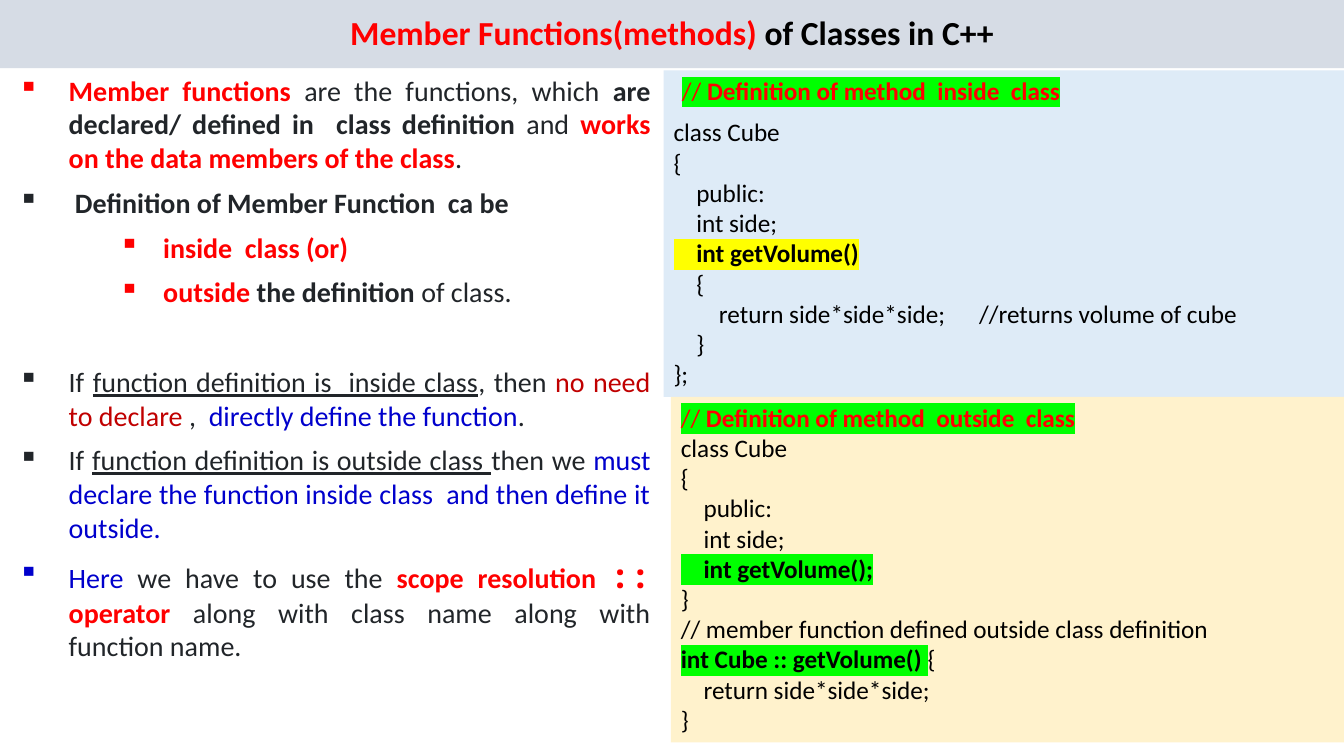
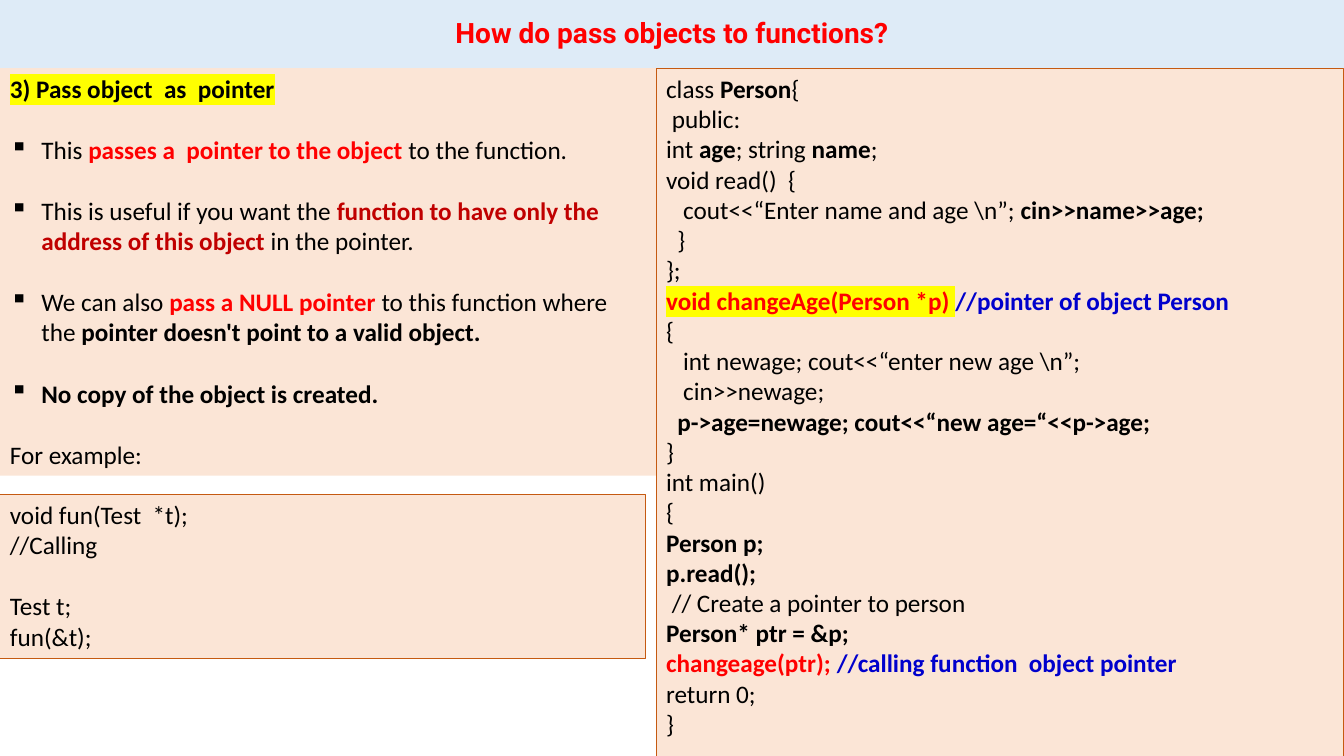
from dataclasses import dataclass
from functools import partial
from typing import Optional, Union

from lxml import etree
from pptx import Presentation
from pptx import util as u
from pptx.dml.color import RGBColor
from pptx.enum import shapes, text
from pptx.oxml.ns import qn

PX = 9525
WIDTH, HEIGHT = 1280, 720
TITLE_H = 65
LINE = 22
COLORS = {
    "black": "000000", "ink": "212529", "red": "FF0000", "dark_red": "C00000",
    "blue": "0000CC", "lime": "00FF00", "yellow": "FFFF00", "gray": "D6DCE5",
    "sky": "DEEBF7", "cream": "FFF2CC", "peach": "FBE5D6", "rust": "C55A11",
}
ALIGN = text.PP_ALIGN
ANCHOR = text.MSO_ANCHOR


@dataclass(frozen=True)
class Run:
    text: str
    color: Optional[str] = None
    bold: bool = False
    underline: bool = False
    mark: Optional[str] = None
    size: Optional[int] = None
    font: str = "Calibri"


Piece = Union[str, Run]


@dataclass(frozen=True)
class Para:
    runs: tuple[Piece, ...]
    align: ALIGN = ALIGN.LEFT
    left: int = 0
    hang: int = 0
    before: int = 0
    after: int = 0
    level: int = 0
    spacing: float = 1.0


@dataclass(frozen=True)
class Panel:
    x: int
    y: int
    w: int
    h: int
    paras: list[Para]
    fill: Optional[str] = None
    line: Optional[str] = None
    size: int = 18
    color: str = "black"
    anchor: ANCHOR = ANCHOR.TOP


bold = partial(Run, bold=True)
red = partial(Run, color="red", bold=True)
blue = partial(Run, color="blue")
under = partial(Run, underline=True)


def para(*runs: Piece, **layout) -> Para:
    return Para(runs, **layout)


point = partial(para, align=ALIGN.JUSTIFY, left=56, hang=48, after=8)
subpoint = partial(point, left=140, hang=36, level=2)
item = partial(para, left=30, hang=30, before=LINE)


def code(*lines: Union[Piece, tuple[Piece, ...]]) -> list[Para]:
    return [Para(ln if isinstance(ln, tuple) else (ln,)) for ln in lines]


def title(fill: str, *runs: Piece, size: int) -> Panel:
    line = para(*runs, align=ALIGN.CENTER, spacing=0.9)
    return Panel(0, 0, WIDTH, TITLE_H, [line], fill, size=size, anchor=ANCHOR.MIDDLE)


def rgb(name: str) -> RGBColor:
    return RGBColor.from_string(COLORS[name])


def add_run(p, piece: Piece, panel: Panel) -> None:
    run = Run(piece) if isinstance(piece, str) else piece
    r = p.add_run()
    r.text = run.text
    r.font.size = u.Pt(run.size or panel.size)
    r.font.bold = run.bold
    r.font.underline = run.underline
    r.font.color.rgb = rgb(run.color or panel.color)
    r.font.name = run.font
    if run.mark:
        highlight = etree.Element(qn("a:highlight"))
        etree.SubElement(highlight, qn("a:srgbClr"), val=COLORS[run.mark])
        r._r.get_or_add_rPr().find(qn("a:solidFill")).addnext(highlight)


def add_para(p, par: Para, panel: Panel) -> None:
    p.alignment = par.align
    p.level = par.level
    p.line_spacing = par.spacing
    p.space_before = u.Pt(par.before)
    p.space_after = u.Pt(par.after)
    pPr = p._p.get_or_add_pPr()
    pPr.set("marL", str(par.left * PX))
    pPr.set("indent", str(-par.hang * PX))
    if par.hang:
        etree.SubElement(pPr, qn("a:buChar"), char="▪")
    for piece in par.runs:
        add_run(p, piece, panel)


def add_panel(s, panel: Panel) -> None:
    box = [v * PX for v in (panel.x, panel.y, panel.w, panel.h)]
    if panel.fill:
        sp = s.shapes.add_shape(shapes.MSO_SHAPE.RECTANGLE, *box)
        sp.shadow.inherit = False
        sp.fill.solid()
        sp.fill.fore_color.rgb = rgb(panel.fill)
        if panel.line:
            sp.line.color.rgb = rgb(panel.line)
            sp.line.width = u.Pt(0.75)
        else:
            sp.line.fill.background()
    else:
        sp = s.shapes.add_textbox(*box)
    tf = sp.text_frame
    tf.word_wrap = True
    tf.vertical_anchor = panel.anchor
    for i, par in enumerate(panel.paras):
        add_para(tf.add_paragraph() if i else tf.paragraphs[0], par, panel)


MEMBER_FUNCTIONS = [
    title("gray", red("Member Functions(methods) "), bold("of Classes in C++"), size=24),
    Panel(0, TITLE_H, 629, 619, [
        point(red("Member functions "), "are the functions, which ",
              bold("are declared/ defined in  class definition"), " and ",
              red("works on the data members of the class"), "."),
        point(bold(" Definition of Member Function  ca be")),
        subpoint(red(" inside  class (or)")),
        subpoint(red(" outside "), bold("the definition "), "of class."),
        point("If ", under("function definition is  inside class"), ", then ",
              Run("no need to declare", "dark_red"), " ,  ",
              blue("directly define the function"), ".", before=32),
        point("If ", under("function definition is outside class "), "then we ",
              blue("must declare the function inside class  and then define it outside.")),
        point(blue("Here "), "we have to use the ", red("scope resolution "),
              red("::", size=24, font="Noto Sans Mono"), red(" operator"),
              " along with class name along with function name."),
    ], size=20, color="ink"),
    Panel(632, 67, 648, 311, [
        para(Run("//", "red", mark="lime"),
             red(" Definition of method  inside  class", mark="lime"),
             align=ALIGN.JUSTIFY, left=8, after=8),
        *code(
            "class Cube",
            "{",
            "    public:",
            "    int side;",
            bold("    int getVolume()", mark="yellow"),
            "    {",
            "        return side*side*side;      //returns volume of cube",
            "    }",
            "};",
        ),
    ], "sky"),
    Panel(639, 378, 641, 329, code(
        (Run("//", "red", mark="lime"),
         red(" Definition of method  outside  class", mark="lime")),
        "class Cube",
        "{",
        "    public:",
        "    int side;",
        bold("    int getVolume();", mark="lime"),
        "}",
        "// member function defined outside class definition",
        (bold("int Cube :: getVolume() ", mark="lime"), "{"),
        "    return side*side*side;",
        "}",
    ), "cream"),
]

PASSING_OBJECTS = [
    title("sky", red("How do pass objects to functions?", font="Roboto"), size=20),
    Panel(0, TITLE_H, 625, 388, [
        para(bold("3) Pass object  as  pointer", mark="yellow")),
        item("This ", red("passes a  pointer to the object "), "to the function."),
        item("This is useful if you want the ",
             bold("function to have only the address of this object", color="dark_red"),
             " in the pointer."),
        item("We can also ", red("pass a NULL pointer "), "to this function where the ",
             bold("pointer doesn't point to a valid object.")),
        item(bold("No copy of the object is created.")),
        para("For example:", before=LINE),
    ], "peach"),
    Panel(0, 471, 615, 156, [
        *code("void fun(Test  *t);", "//Calling"),
        para("Test t;", before=LINE),
        *code("fun(&t);"),
    ], "peach", "rust"),
    Panel(625, TITLE_H, 655, 679, code(
        ("class ", bold("Person"), "{"),
        " public:",
        ("int ", bold("age"), "; string ", bold("name"), ";"),
        "void read()  {",
        ("   cout<<“Enter name and age \\n”; ", bold("cin>>name>>age;")),
        "  }",
        "};",
        (red("void changeAge(Person *p) ", mark="yellow"),
         blue("//pointer of object Person", bold=True)),
        "{",
        "   int newage; cout<<“enter new age \\n”;",
        "   cin>>newage;",
        bold("  p->age=newage; cout<<“new age=“<<p->age;"),
        "}",
        "int main()",
        "{",
        bold("Person p;"),
        bold("p.read();"),
        " // Create a pointer to person",
        bold("Person* ptr = &p;"),
        (red("changeage(ptr); "), blue("//calling function  object pointer", bold=True)),
        "return 0;",
        "}",
    ), "peach", "rust"),
]


def main() -> None:
    prs = Presentation()
    prs.slide_width, prs.slide_height = WIDTH * PX, HEIGHT * PX
    for panels in (MEMBER_FUNCTIONS, PASSING_OBJECTS):
        s = prs.slides.add_slide(prs.slide_layouts[6])
        for panel in panels:
            add_panel(s, panel)
    prs.save("out.pptx")


if __name__ == "__main__":
    main()
